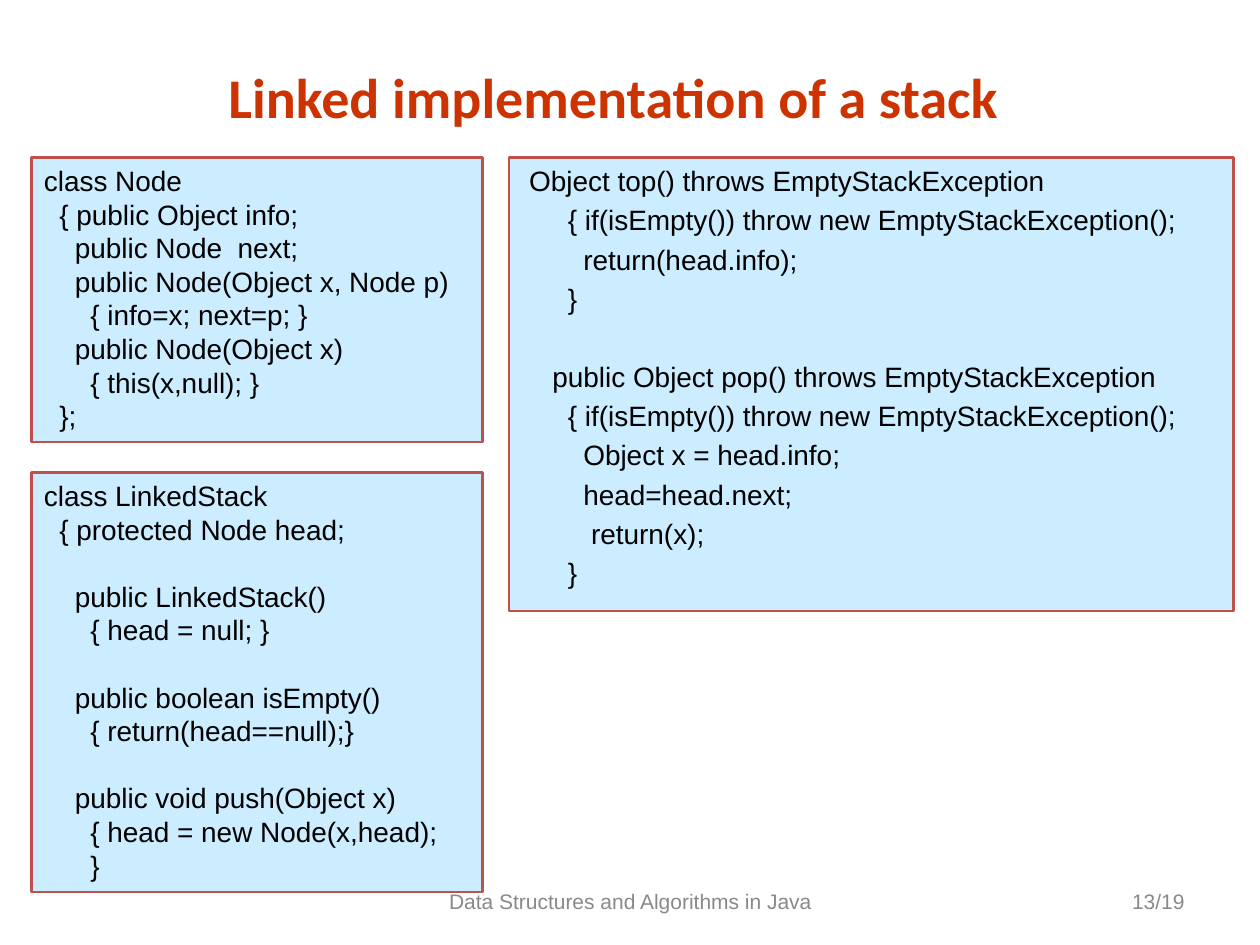
import pptx
import pptx.util
import pptx.dml.color
import pptx.enum.shapes
import pptx.enum.text

Inches = pptx.util.Inches
Pt = pptx.util.Pt
Align = pptx.enum.text.PP_ALIGN
Anchor = pptx.enum.text.MSO_ANCHOR

RED = pptx.dml.color.RGBColor(0xCC, 0x33, 0x00)
EDGE = pptx.dml.color.RGBColor(0xC0, 0x50, 0x4D)
PALE = pptx.dml.color.RGBColor(0xCC, 0xEC, 0xFF)
BLACK = pptx.dml.color.RGBColor(0x00, 0x00, 0x00)
GREY = pptx.dml.color.RGBColor(0x89, 0x89, 0x89)

PITCH = 19.2

NODE = """class Node
  { public Object info;
    public Node  next;
    public Node(Object x, Node p)
      { info=x; next=p; }
    public Node(Object x)
      { this(x,null); }
  };"""

STACK = """class LinkedStack
  { protected Node head;

    public LinkedStack()
      { head = null; }

    public boolean isEmpty()
      { return(head==null);}

    public void push(Object x)
      { head = new Node(x,head);
      }"""

ACCESS = """ Object top() throws EmptyStackException
      { if(isEmpty()) throw new EmptyStackException();
        return(head.info);
      }

    public Object pop() throws EmptyStackException
      { if(isEmpty()) throw new EmptyStackException();
        Object x = head.info;
        head=head.next;
         return(x);
      }"""


def add_text(para, text, size, color, face="Arial", bold=False):
    run = para.add_run()
    run.text = text
    run.font.name = face
    run.font.size = Pt(size)
    run.font.bold = bold
    run.font.color.rgb = color


def add_title(slide, box, text):
    title = slide.shapes.title
    title.left, title.top, title.width, title.height = map(Inches, box)
    frame = title.text_frame
    frame.vertical_anchor = Anchor.MIDDLE
    para = frame.paragraphs[0]
    para.alignment = Align.CENTER
    add_text(para, text, 32, RED, "Calibri", True)


def add_code(slide, box, code, lead=0):
    rect = slide.shapes.add_shape(
        pptx.enum.shapes.MSO_SHAPE.RECTANGLE, *map(Inches, box))
    rect.shadow.inherit = False
    rect.fill.solid()
    rect.fill.fore_color.rgb = PALE
    rect.line.color.rgb = EDGE
    rect.line.width = Pt(1.5)
    frame = rect.text_frame
    frame.word_wrap = True
    frame.vertical_anchor = Anchor.TOP
    para, gap = frame.paragraphs[0], 0
    for line in code.splitlines():
        if not line:
            gap += PITCH + lead
            continue
        if para.runs:
            para = frame.add_paragraph()
        para.alignment = Align.LEFT
        para.line_spacing = Pt(PITCH)
        para.space_before = Pt(gap)
        add_text(para, line, 16, BLACK)
        gap = lead


def add_foot(slide, box, text, align):
    frame = slide.shapes.add_textbox(*map(Inches, box)).text_frame
    frame.word_wrap = True
    frame.vertical_anchor = Anchor.MIDDLE
    para = frame.paragraphs[0]
    para.alignment = align
    add_text(para, text, 12, GREY)


def main():
    deck = pptx.Presentation()
    deck.slide_width, deck.slide_height = Inches(10), Inches(7.5)
    slide = deck.slides.add_slide(deck.slide_layouts[5])
    add_foot(slide, (3.17, 6.95, 3.67, 0.4),
             "Data Structures and Algorithms in Java", Align.CENTER)
    add_foot(slide, (7.17, 6.95, 2.33, 0.4), "13/19", Align.RIGHT)
    add_title(slide, (0.33, 0.45, 9.08, 0.63),
              "Linked implementation of a stack")
    add_code(slide, (0.25, 1.25, 3.58, 2.26), NODE)
    add_code(slide, (0.25, 3.75, 3.58, 3.33), STACK)
    add_code(slide, (4.04, 1.25, 5.75, 3.6), ACCESS, 3.2)
    deck.save("out.pptx")


if __name__ == "__main__":
    main()
